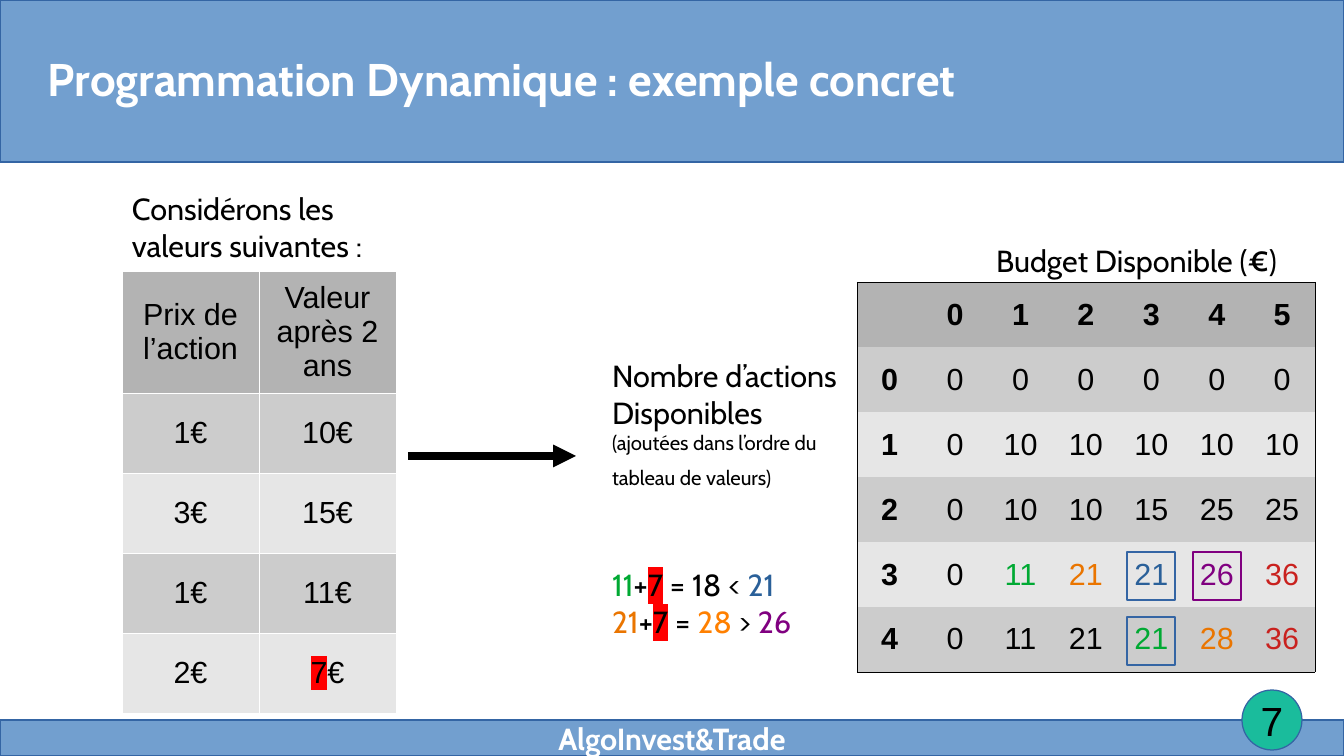
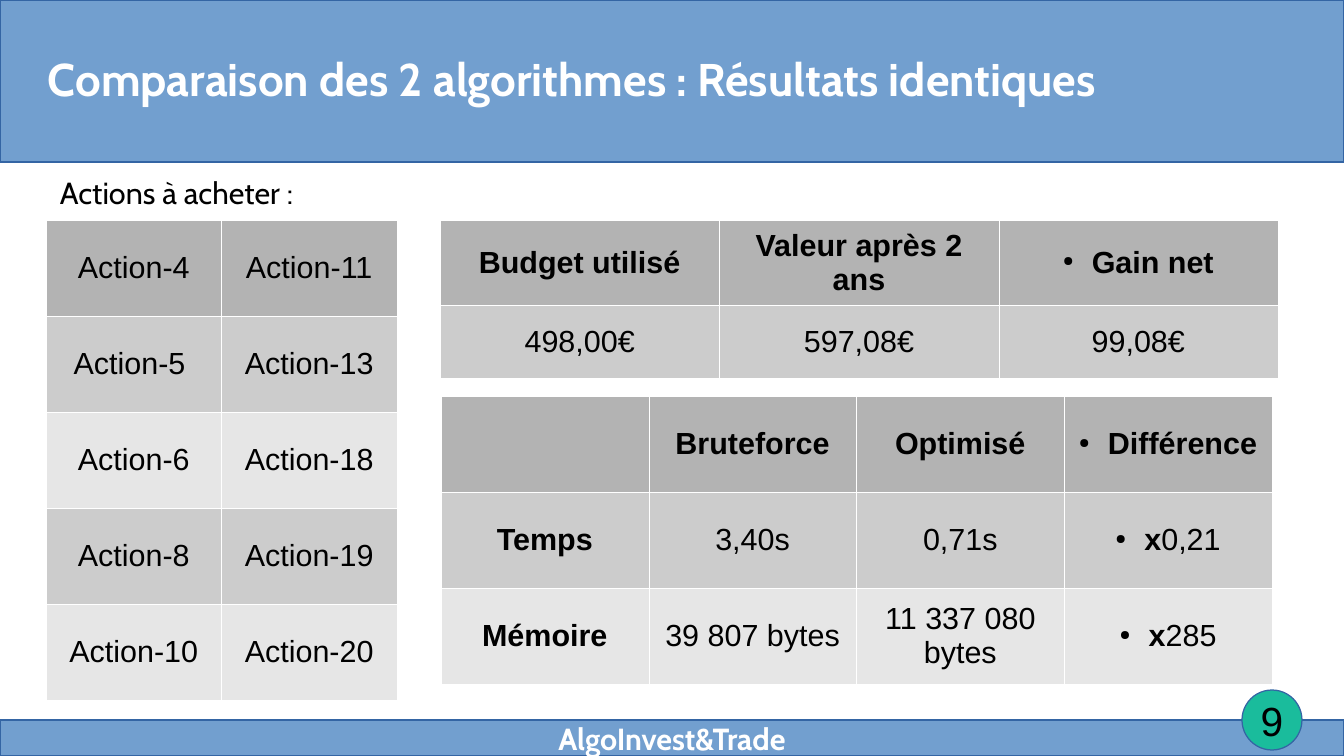
"""Build two slides on dynamic programming applied to share purchases."""
from lxml.etree import SubElement
from pptx import Presentation
from pptx.dml.color import RGBColor
from pptx.enum.shapes import MSO_CONNECTOR, MSO_SHAPE
from pptx.enum.text import MSO_ANCHOR, PP_ALIGN
from pptx.oxml.ns import qn
from pptx.util import Pt

PX = 914400 / 122
WIDTH, HEIGHT = 1344, 756

BLACK = RGBColor(0x00, 0x00, 0x00)
WHITE = RGBColor(0xFF, 0xFF, 0xFF)
BAND_BLUE = RGBColor(0x72, 0x9F, 0xCF)
EDGE_BLUE = RGBColor(0x34, 0x65, 0xA4)
BADGE_GREEN = RGBColor(0x1A, 0xBC, 0x9C)
HEADER_GREY = RGBColor(0xB3, 0xB3, 0xB3)
ROW_GREYS = RGBColor(0xE6, 0xE6, 0xE6), RGBColor(0xCC, 0xCC, 0xCC)
RED = RGBColor(0xFF, 0x00, 0x00)
GREEN = RGBColor(0x00, 0xA9, 0x33)
ORANGE = RGBColor(0xEA, 0x75, 0x00)
BRIGHT_ORANGE = RGBColor(0xFF, 0x80, 0x00)
BLUE = RGBColor(0x2A, 0x60, 0x99)
PURPLE = RGBColor(0x80, 0x00, 0x80)
CRIMSON = RGBColor(0xC9, 0x21, 0x1E)

LABEL = {"name": "Cabin", "size": Pt(18), "bold": False, "color": BLACK}
CELL = LABEL | {"name": "Arial"}
FOOTER = LABEL | {"bold": True, "color": WHITE}
TITLE = FOOTER | {"size": Pt(27)}
PAGE_NUMBER = CELL | {"size": Pt(24)}
NO_MARGINS = dict.fromkeys(
    ("margin_left", "margin_top", "margin_right", "margin_bottom"), 0)

GRID_LEFT, GRID_TOP, GRID_WIDTH, GRID_ROW = 857, 282, 458, 65


def emu(*lengths):
    """Turn px lengths into EMU."""
    return [round(length * PX) for length in lengths]


def bold(text):
    """Return a bold run."""
    return text, {"bold": True}


def tinted(text, color):
    """Return a coloured run."""
    return text, {"color": color}


def marked(text):
    """Return a run highlighted in red."""
    return text, {"highlight": RED}


def set_attributes(target, values):
    """Set each named attribute of the target."""
    for name, value in values.items():
        setattr(target, name, value)


def solid_fill(parent, color):
    """Append a solid colour to an XML element."""
    SubElement(SubElement(parent, qn("a:solidFill")), qn("a:srgbClr"), val=str(color))


def write_run(paragraph, text, style):
    """Add one formatted run to a paragraph."""
    run = paragraph.add_run()
    run.text = text
    values = dict(style)
    run.font.color.rgb = values.pop("color")
    highlight = values.pop("highlight", None)
    if highlight is not None:
        mark = SubElement(run.font._element, qn("a:highlight"))
        SubElement(mark, qn("a:srgbClr"), val=str(highlight))
    set_attributes(run.font, values)


def write_text(frame, paragraphs, style, align=PP_ALIGN.LEFT, **frame_values):
    """Fill a text frame with paragraphs, each one run or a list of runs."""
    set_attributes(frame, {"word_wrap": True} | frame_values)
    for index, runs in enumerate(paragraphs):
        paragraph = frame.add_paragraph() if index else frame.paragraphs[0]
        paragraph.alignment = align
        for run in runs if isinstance(runs, list) else [runs]:
            text, changes = (run, {}) if isinstance(run, str) else run
            write_run(paragraph, text, style | changes)


def add_label(slide, box, paragraphs, style=LABEL, **frame_values):
    """Add a text box."""
    frame = slide.shapes.add_textbox(*emu(*box)).text_frame
    write_text(frame, paragraphs, style, **frame_values)


def add_figure(slide, kind, box, fill=None, edge=EDGE_BLUE):
    """Add a hairline shape, hollow unless a fill is given."""
    figure = slide.shapes.add_shape(kind, *emu(*box))
    figure.shadow.inherit = False
    if fill is None:
        figure.fill.background()
    else:
        figure.fill.solid()
        figure.fill.fore_color.rgb = fill
    figure.line.color.rgb = edge
    figure.line.width = 0
    return figure


def add_arrow(slide, start, end):
    """Add a thick black arrow."""
    arrow = slide.shapes.add_connector(MSO_CONNECTOR.STRAIGHT, *emu(*start, *end))
    arrow.line.color.rgb = BLACK
    arrow.line.width = Pt(4.5)
    SubElement(arrow.line._get_or_add_ln(), qn("a:tailEnd"), type="triangle")
    SubElement(arrow._element.spPr, qn("a:effectLst"))


def draw_borders(cell, colors):
    """Draw the left, right, top and bottom borders, None being invisible."""
    properties = cell._tc.get_or_add_tcPr()
    for side, color in zip("LRTB", colors):
        border = SubElement(properties, qn(f"a:ln{side}"), w="762")
        if color is None:
            SubElement(border, qn("a:noFill"))
        else:
            solid_fill(border, color)


def add_bullet(paragraph):
    """Give a paragraph a small hanging bullet."""
    indent, = emu(29)
    properties = paragraph._p.get_or_add_pPr()
    properties.set("marL", str(indent))
    properties.set("indent", str(-indent))
    SubElement(SubElement(properties, qn("a:buClr")), qn("a:srgbClr"), val=str(BLACK))
    SubElement(properties, qn("a:buSzPct"), val="45000")
    SubElement(properties, qn("a:buChar"), char="●")


def add_grid(slide, corner, width, heights, rows, bulleted=(), boxed=False):
    """Add a grey table with white rules, or with only a black outer box."""
    last_row, last_column = len(rows) - 1, len(rows[0]) - 1
    table = slide.shapes.add_table(
        len(rows), len(rows[0]), *emu(*corner, width, sum(heights))).table
    set_attributes(table, {"first_row": False, "horz_banding": False})
    for column in table.columns:
        column.width, = emu(width / len(rows[0]))
    for r, (height, row) in enumerate(zip(heights, rows)):
        table.rows[r].height, = emu(height)
        for c, content in enumerate(row):
            cell = table.cell(r, c)
            outer = c == 0, c == last_column, r == 0, r == last_row
            draw_borders(cell, [BLACK if side else None for side in outer]
                         if boxed else [WHITE] * 4)
            cell.fill.solid()
            cell.fill.fore_color.rgb = ROW_GREYS[r % 2] if r else HEADER_GREY
            cell.vertical_anchor = MSO_ANCHOR.MIDDLE
            if content:
                write_text(cell.text_frame, [content], CELL, PP_ALIGN.CENTER)
            if (r, c) in bulleted:
                add_bullet(cell.text_frame.paragraphs[0])


def add_page(deck, title, number):
    """Add a slide with its bands, title, footer and page number."""
    slide = deck.slides.add_slide(deck.slide_layouts[6])
    centred = {"align": PP_ALIGN.CENTER, "vertical_anchor": MSO_ANCHOR.MIDDLE}
    footer = add_figure(slide, MSO_SHAPE.RECTANGLE, (0, 720, WIDTH, 36), BAND_BLUE)
    write_text(footer.text_frame, ["AlgoInvest&Trade"], FOOTER, **centred, **NO_MARGINS)
    add_figure(slide, MSO_SHAPE.RECTANGLE, (0, 0, WIDTH, 162), BAND_BLUE)
    badge = add_figure(slide, MSO_SHAPE.OVAL, (1242, 690, 60, 60), BADGE_GREEN)
    write_text(badge.text_frame, [number], PAGE_NUMBER, **centred, **NO_MARGINS)
    add_label(slide, (48, 30, 1249, 96), [title], TITLE,
              vertical_anchor=MSO_ANCHOR.MIDDLE, **NO_MARGINS)
    return slide


def frame_cell(slide, row, column, edge):
    """Outline one cell of the budget grid."""
    left = GRID_LEFT + GRID_WIDTH * column // 7 + 9
    top = GRID_TOP + GRID_ROW * row + 10
    add_figure(slide, MSO_SHAPE.RECTANGLE, (left, top, 48, 48), edge=edge)


def build_example(deck):
    """Build the worked example of dynamic programming."""
    slide = add_page(deck, "Programmation Dynamique : exemple concret", "7")
    add_label(slide, (120, 184, 288, 95), ["Considérons les valeurs suivantes :"])
    add_grid(slide, (122, 271), 274, [114] + [80] * 4, [
        ["Prix de l’action", "Valeur après 2 ans"],
        ["1€", "10€"],
        ["3€", "15€"],
        ["1€", "11€"],
        ["2€", [marked("7"), "€"]],
    ])
    add_arrow(slide, (408, 456), (576, 456))
    add_label(slide, (600, 351, 265, 206), [
        "Nombre d’actions",
        "Disponibles",
        [("(ajoutées dans l’ordre du tableau de valeurs)", {"size": Pt(12)}), " "],
    ])
    add_label(slide, (600, 560, 216, 178), [
        [tinted("11", GREEN), "+", marked("7"), " = 18 < ", tinted("21", BLUE)],
        [tinted("21", ORANGE), "+", marked("7"), " = ",
         tinted("28", BRIGHT_ORANGE), " > ", tinted("26", PURPLE)],
    ])
    add_label(slide, (984, 236, 360, 54), ["Budget Disponible (€)"])
    best_values = [
        ["0"] * 6,
        ["0"] + ["10"] * 5,
        ["0", "10", "10", "15", "25", "25"],
        ["0", tinted("11", GREEN), tinted("21", ORANGE), tinted("21", BLUE),
         tinted("26", PURPLE), tinted("36", CRIMSON)],
        ["0", "11", "21", tinted("21", GREEN), tinted("28", ORANGE),
         tinted("36", CRIMSON)],
    ]
    budgets = [""] + [bold(str(budget)) for budget in range(6)]
    rows = [[bold(str(count))] + values for count, values in enumerate(best_values)]
    add_grid(slide, (GRID_LEFT, GRID_TOP), GRID_WIDTH, [GRID_ROW] * 6,
             [budgets] + rows, boxed=True)
    for row, column, edge in ((4, 4, EDGE_BLUE), (4, 5, PURPLE), (5, 4, EDGE_BLUE)):
        frame_cell(slide, row, column, edge)


def build_comparison(deck):
    """Build the comparison of the two algorithms."""
    slide = add_page(deck, "Comparaison des 2 algorithmes : Résultats identiques", "9")
    add_label(slide, (48, 168, 349, 54), ["Actions à acheter :"])
    add_grid(slide, (46, 220), 351, [96] * 5, [
        ["Action-4", "Action-11"],
        ["Action-5 ", "Action-13"],
        ["Action-6", "Action-18"],
        ["Action-8", "Action-19"],
        ["Action-10", "Action-20"],
    ])
    add_grid(slide, (440, 220), 838, [84, 73], [
        [bold("Budget utilisé"), bold("Valeur après 2 ans"), bold("Gain net")],
        ["498,00€", "597,08€", "99,08€"],
    ], bulleted={(0, 2)})
    add_grid(slide, (441, 396), 831, [96] * 3, [
        ["", bold("Bruteforce"), bold("Optimisé"), bold("Différence")],
        [bold("Temps"), "3,40s", "0,71s", [bold("x"), "0,21"]],
        [bold("Mémoire"), "39 807 bytes", "11 337 080 bytes", [bold("x"), "285"]],
    ], bulleted={(0, 3), (1, 3), (2, 3)})


def main():
    """Build and save the deck."""
    deck = Presentation()
    deck.slide_width, deck.slide_height = emu(WIDTH, HEIGHT)
    build_example(deck)
    build_comparison(deck)
    deck.save("out.pptx")


if __name__ == "__main__":
    main()
